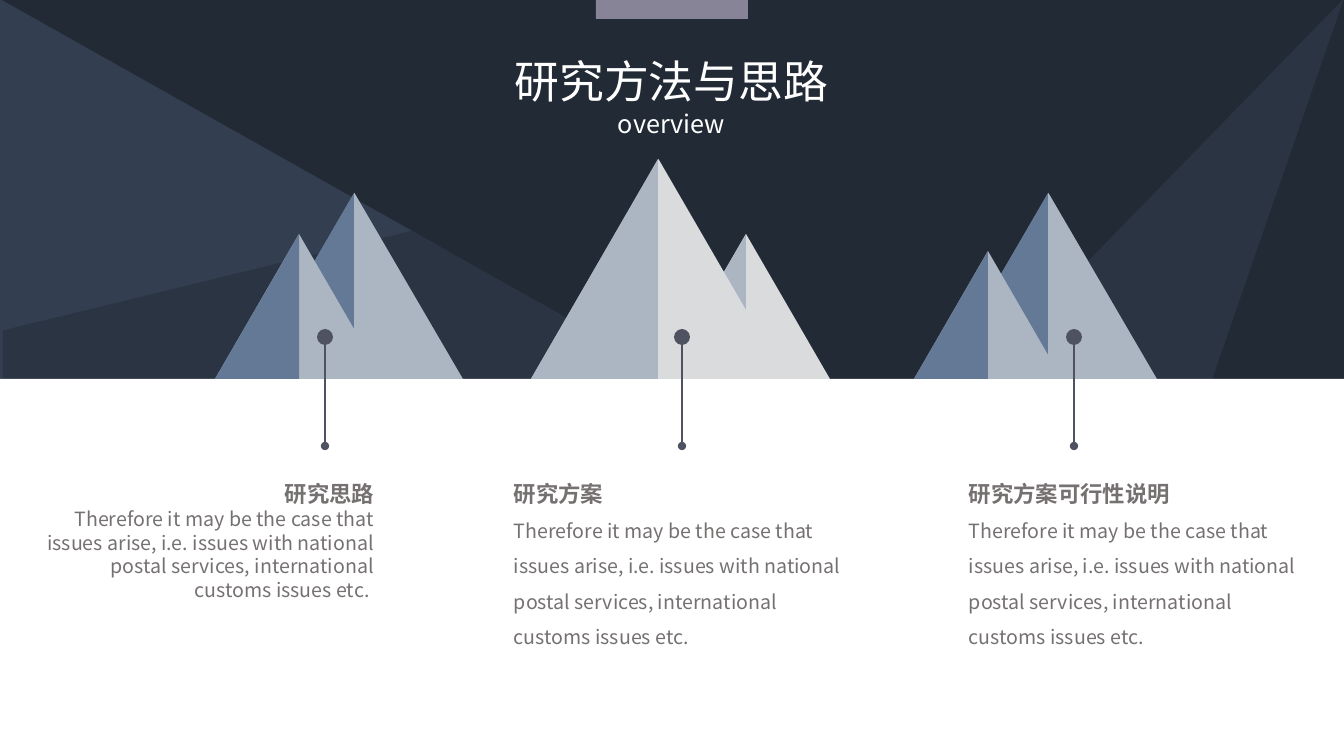
from dataclasses import dataclass

from lxml.etree import SubElement
from pptx import Presentation
from pptx.dml.color import RGBColor
from pptx.enum.shapes import MSO_CONNECTOR, MSO_SHAPE
from pptx.enum.text import MSO_ANCHOR, MSO_AUTO_SIZE, PP_ALIGN
from pptx.oxml.ns import qn
from pptx.util import Emu, Pt

PX_PER_INCH = 100.8


def px(length: int) -> Emu:
    return Emu(round(length * 914400 / PX_PER_INCH))


@dataclass(frozen=True)
class Theme:
    backdrop: str = "333F50"
    night: str = "222A35"
    white: str = "FFFFFF"
    tab: str = "878497"
    blue: str = "647996"
    mist: str = "ACB6C2"
    snow: str = "DADBDD"
    pin: str = "4F5261"
    text: str = "767171"
    body_font: str = "Noto Sans CJK JP"
    heading_font: str = "Roboto"
    title_size: int = 32
    subtitle_size: int = 18
    heading_size: int = 16
    body_size: int = 14
    pin_width: float = 1.5


THEME = Theme()
HORIZON = 379
PIN_TOP, PIN_HEAD, PIN_END = 329, 16, 446
CAPTION_TOP, CAPTION_WIDTH = 462, 356
BODY = ("Therefore it may be the case that issues arise, i.e. issues with "
        "national postal services, international customs issues etc.")


@dataclass(frozen=True)
class Facet:
    kind: MSO_SHAPE
    box: tuple[int, int, int, int]
    color: str
    rotation: float = 0
    adjustment: float | None = None
    opacity: int = 100


@dataclass(frozen=True)
class Peak:
    left: int
    top: int
    width: int
    sunny: str = THEME.mist
    shaded: str = THEME.blue


@dataclass(frozen=True)
class Caption:
    left: int
    height: int
    heading: str
    body: str = BODY
    align: PP_ALIGN = PP_ALIGN.LEFT
    body_spacing: float = 1.5


FACETS = [
    Facet(MSO_SHAPE.ISOSCELES_TRIANGLE, (2, 0, 1344, 756), THEME.night, 180, 0),
    Facet(MSO_SHAPE.PARALLELOGRAM, (-62, 174, 1456, 355), THEME.night, 166.3, opacity=50),
    Facet(MSO_SHAPE.ISOSCELES_TRIANGLE, (854, -84, 371, 790), THEME.backdrop, 19.1, 1, 50),
    Facet(MSO_SHAPE.RECTANGLE, (0, HORIZON, 1344, 377), THEME.white),
    Facet(MSO_SHAPE.RECTANGLE, (596, 0, 152, 19), THEME.tab),
]
PEAKS = [
    Peak(246, 193, 217),
    Peak(215, 234, 168),
    Peak(940, 193, 217),
    Peak(914, 251, 148),
    Peak(662, 234, 168, THEME.snow, THEME.mist),
    Peak(531, 159, 255, THEME.snow, THEME.mist),
]
PIN_CENTERS = [325, 682, 1074]
CAPTIONS = [
    Caption(28, 122, "研究思路", BODY + " ", PP_ALIGN.RIGHT, 1.0),
    Caption(504, 158, "研究方案"),
    Caption(959, 158, "研究方案可行性说明"),
]


def paint(shape, color: str) -> None:
    shape.shadow.inherit = False
    shape.fill.solid()
    shape.fill.fore_color.rgb = RGBColor.from_string(color)
    shape.line.fill.background()


def add_facet(shapes, facet: Facet) -> None:
    shape = shapes.add_shape(facet.kind, *map(px, facet.box))
    shape.rotation = facet.rotation
    if facet.adjustment is not None:
        shape.adjustments[0] = facet.adjustment
    paint(shape, facet.color)
    if facet.opacity < 100:
        color = shape._element.spPr.find(f"{qn('a:solidFill')}/{qn('a:srgbClr')}")
        SubElement(color, qn("a:alpha")).set("val", str(facet.opacity * 1000))


def add_peak(shapes, peak: Peak) -> None:
    group = shapes.add_group_shape().shapes
    mountain = Facet(MSO_SHAPE.ISOSCELES_TRIANGLE,
                     (peak.left, peak.top, peak.width, HORIZON - peak.top), peak.sunny)
    add_facet(group, mountain)
    apex = peak.left + peak.width // 2
    builder = group.build_freeform(px(apex), px(peak.top))
    builder.add_line_segments([(px(apex), px(HORIZON)), (px(peak.left), px(HORIZON))])
    paint(builder.convert_to_shape(), peak.shaded)


def add_pin(shapes, center: int) -> None:
    group = shapes.add_group_shape().shapes
    head = (center - PIN_HEAD // 2, PIN_TOP, PIN_HEAD, PIN_HEAD)
    add_facet(group, Facet(MSO_SHAPE.OVAL, head, THEME.pin))
    stem = group.add_connector(MSO_CONNECTOR.STRAIGHT, px(center), px(PIN_TOP + PIN_HEAD),
                               px(center), px(PIN_END))
    stem.line.color.rgb = RGBColor.from_string(THEME.pin)
    stem.line.width = Pt(THEME.pin_width)
    SubElement(stem.line._get_or_add_ln(), qn("a:tailEnd")).set("type", "oval")
    SubElement(stem._element.spPr, qn("a:effectLst"))


def add_text(paragraph, text: str, size: int, color: str, font: str, bold: bool,
             align: PP_ALIGN, spacing: float) -> None:
    paragraph.alignment = align
    paragraph.line_spacing = spacing
    paragraph.space_before = Pt(0)
    run = paragraph.add_run()
    run.text = text
    run.font.size = Pt(size)
    run.font.bold = bold
    run.font.name = font
    run.font.color.rgb = RGBColor.from_string(color)
    east_asian = SubElement(run._r.get_or_add_rPr(), qn("a:ea"))
    east_asian.set("typeface", THEME.body_font)


def set_title(slide) -> None:
    title = slide.shapes.title
    title.left, title.top, title.width, title.height = map(px, (503, 49, 337, 95))
    frame = title.text_frame
    frame.word_wrap = False
    frame.auto_size = MSO_AUTO_SIZE.SHAPE_TO_FIT_TEXT
    frame.vertical_anchor = MSO_ANCHOR.TOP
    add_text(frame.paragraphs[0], "研究方法与思路", THEME.title_size, THEME.white,
             THEME.body_font, False, PP_ALIGN.CENTER, 1.0)
    add_text(frame.add_paragraph(), "overview", THEME.subtitle_size, THEME.white,
             THEME.body_font, False, PP_ALIGN.CENTER, 1.0)
    # Bring the title in front of the backdrop
    title._element.getparent().append(title._element)


def add_caption(shapes, caption: Caption) -> None:
    box = shapes.add_textbox(px(caption.left), px(CAPTION_TOP),
                             px(CAPTION_WIDTH), px(caption.height))
    frame = box.text_frame
    frame.word_wrap = True
    frame.auto_size = MSO_AUTO_SIZE.SHAPE_TO_FIT_TEXT
    add_text(frame.paragraphs[0], caption.heading, THEME.heading_size, THEME.text,
             THEME.heading_font, True, caption.align, 1.5)
    add_text(frame.add_paragraph(), caption.body, THEME.body_size, THEME.text,
             THEME.body_font, False, caption.align, caption.body_spacing)


def main() -> None:
    presentation = Presentation()
    presentation.slide_width, presentation.slide_height = px(1344), px(756)
    slide = presentation.slides.add_slide(presentation.slide_layouts.get_by_name("Title Only"))

    # Backdrop and title
    slide.background.fill.solid()
    slide.background.fill.fore_color.rgb = RGBColor.from_string(THEME.backdrop)
    for facet in FACETS:
        add_facet(slide.shapes, facet)
    set_title(slide)

    # Mountains, pins and captions
    for peak in PEAKS:
        add_peak(slide.shapes, peak)
    for center in PIN_CENTERS:
        add_pin(slide.shapes, center)
    for caption in CAPTIONS:
        add_caption(slide.shapes, caption)

    presentation.save("out.pptx")


if __name__ == "__main__":
    main()
